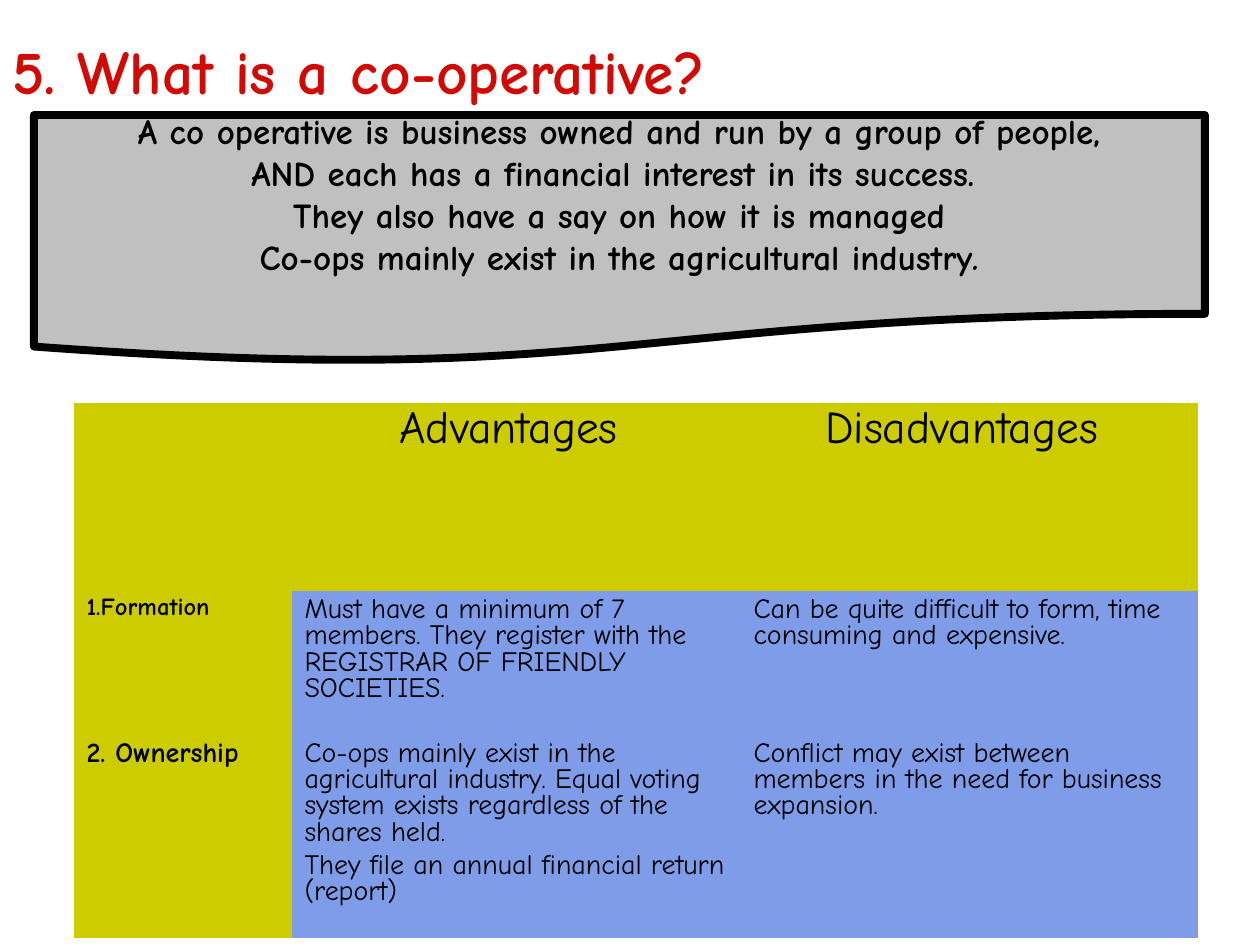
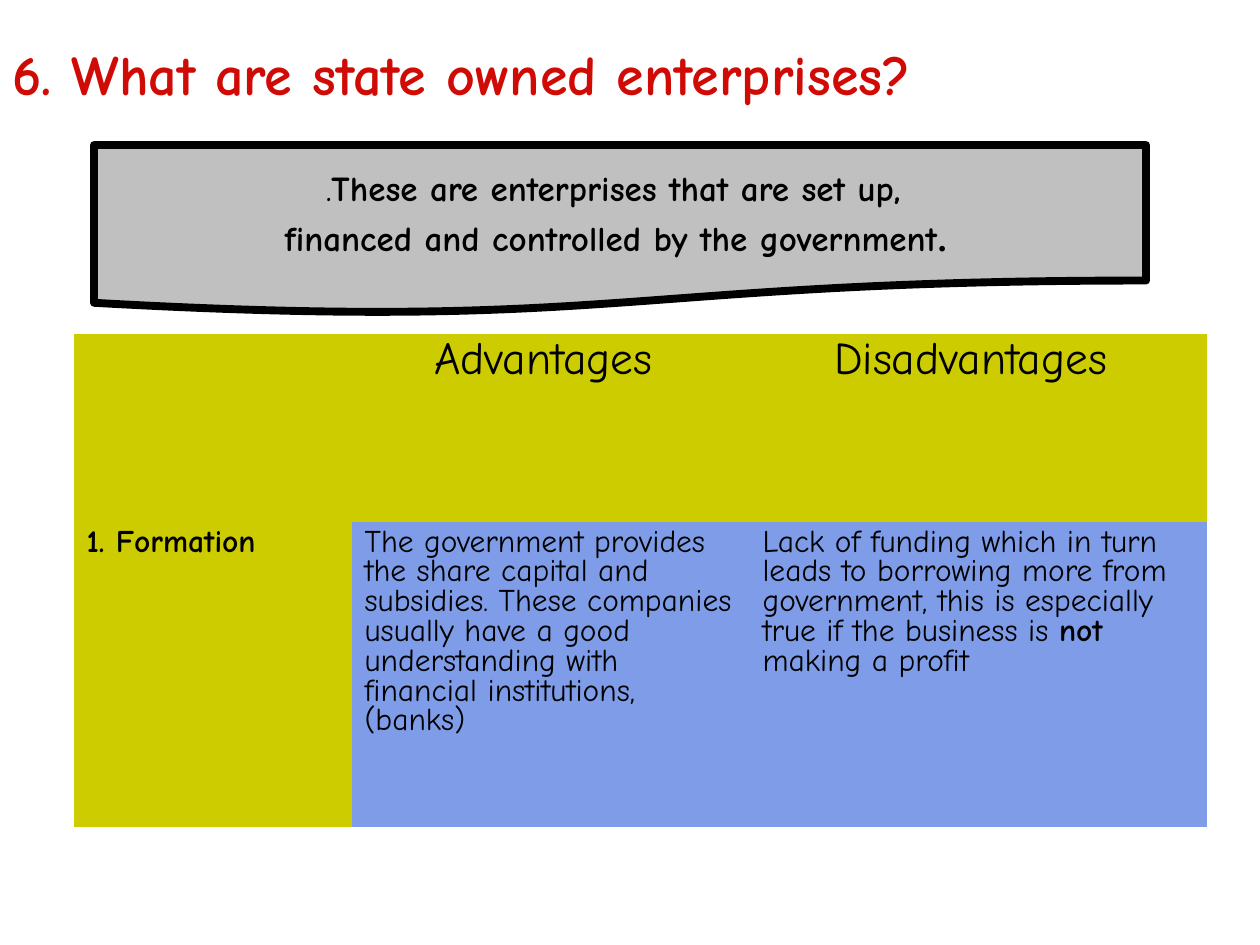
from lxml.etree import QName
from pptx import Presentation
from pptx.dml.color import RGBColor
from pptx.enum.shapes import MSO_SHAPE
from pptx.enum.text import MSO_ANCHOR, PP_ALIGN
from pptx.util import Emu, Pt

# Shared look
PIXELS_PER_INCH = 126
FONT = "Comic Neue"
NO_STYLE_NO_GRID = "{2D5ABB26-0587-4C30-8999-92F81FD0307C}"
TABLE_LEFT = 74
HEADER_HEIGHT = 188
HEADINGS = ("Advantages ", "Disadvantages ")
COLORS = {
    "title": "D00B06",
    "text": "000000",
    "banner": "C0C0C0",
    "label": "CCCC00",
    "body": "7E9CE8",
}


def px(length):
    return Emu(round(length * 914400 / PIXELS_PER_INCH))


def color(name):
    return RGBColor.from_string(COLORS[name])


# Text
def add_span(para, text, size, bold=False, italic=False, font=FONT, tone="text"):
    span = para.add_run()
    span.text = text
    span.font.name = font
    span.font.size = Pt(size)
    span.font.bold = bold
    span.font.italic = italic
    span.font.color.rgb = color(tone)


def add_para(frame, spans, size, bold=False, align=PP_ALIGN.LEFT,
             before=0, spacing=None):
    """Write one paragraph; each span is a text or a (text, changes) pair."""
    first = frame.paragraphs[0]
    para = frame.add_paragraph() if first.runs else first
    para.alignment = align
    para.space_before = Pt(before)
    if spacing:
        para.line_spacing = spacing
    for span in spans:
        text, changes = (span, {}) if isinstance(span, str) else span
        add_span(para, text, **{"size": size, "bold": bold, **changes})


def add_title(page, text, size, top, width, height):
    box = page.shapes.add_textbox(0, px(top), px(width), px(height))
    frame = box.text_frame
    frame.word_wrap = True
    frame.vertical_anchor = MSO_ANCHOR.BOTTOM
    add_para(frame, [text], size, bold=True)
    for span in frame.paragraphs[0].runs:
        span.font.color.rgb = color("title")


# Definition banner with a wavy lower edge
def add_banner(page, left, top, width, height, lines, gap=0, bottom_inset=6):
    banner = page.shapes.add_shape(MSO_SHAPE.FLOWCHART_DOCUMENT,
                                   px(left), px(top), px(width), px(height))
    banner.shadow.inherit = False
    banner.fill.solid()
    banner.fill.fore_color.rgb = color("banner")
    banner.line.color.rgb = color("text")
    banner.line.width = Pt(4.5)
    frame = banner.text_frame
    frame.word_wrap = False
    frame.vertical_anchor = MSO_ANCHOR.MIDDLE
    frame.margin_bottom = px(bottom_inset)
    for index, spans in enumerate(lines):
        add_para(frame, spans, 20, bold=True, align=PP_ALIGN.CENTER,
                 before=gap if index else 0)


# Comparison table
def fill_cell(cell, fill, paragraphs, size, bold=False, align=PP_ALIGN.LEFT):
    cell.fill.solid()
    cell.fill.fore_color.rgb = color(fill)
    for spans in paragraphs:
        add_para(cell.text_frame, spans, size, bold, align,
                 before=size / 4, spacing=0.82)


def add_comparison(page, top, widths, rows):
    """Each row is height, label, label size, body size, two lists of paragraphs."""
    heights = [HEADER_HEIGHT] + [row[0] for row in rows]
    table = page.shapes.add_table(len(heights), len(widths), px(TABLE_LEFT), px(top),
                                  px(sum(widths)), px(sum(heights))).table
    for node in table._tbl.tblPr:
        if QName(node).localname == "tableStyleId":
            node.text = NO_STYLE_NO_GRID
    for column, width in zip(table.columns, widths):
        column.width = px(width)
    for row, height in zip(table.rows, heights):
        row.height = px(height)

    fill_cell(table.cell(0, 0), "label", [], 26)
    for column, heading in enumerate(HEADINGS, 1):
        fill_cell(table.cell(0, column), "label", [[heading]], 26,
                  align=PP_ALIGN.CENTER)
    for index, (_, label, label_size, body_size, *bodies) in enumerate(rows, 1):
        fill_cell(table.cell(index, 0), "label", [[label]], label_size, bold=True)
        for column, paragraphs in enumerate(bodies, 1):
            fill_cell(table.cell(index, column), "body", paragraphs, body_size)


# Slides
def add_cooperative(page):
    add_title(page, "5. What is a co-operative?", 35, 26, 1134, 87)
    add_comparison(page, 403, (218, 449, 457), [
        (144, "1.Formation", 14, 16,
         [["Must have a minimum of 7 members. They register with the "
           "REGISTRAR OF FRIENDLY SOCIETIES."]],
         [["Can be quite difficult to form, time consuming and expensive."]]),
        (203, "2. Ownership", 16, 16,
         [["Co-ops mainly exist in the agricultural industry. Equal voting "
           "system exists regardless of the shares held."],
          ["They file an annual financial return (report)"]],
         [["Conflict may exist between members in the need for business "
           "expansion."]]),
    ])
    add_banner(page, 34, 115, 1171, 248, [
        [" A co operative is business owned and run by a group of people, "],
        ["AND each has a financial interest in its success. "],
        ["They also have a say on how it is managed"],
        ["Co-ops mainly exist in the agricultural industry", (".", {"italic": True})],
    ], bottom_inset=48)


def add_state_enterprises(page):
    add_title(page, "6. What are state owned enterprises?", 32, 33, 1225, 80)
    add_comparison(page, 334, (278, 398, 457), [
        (305, "1. Formation", 18, 18,
         [["The government provides the share capital and subsidies. These "
           "companies usually have a good understanding with financial "
           "institutions, (banks)"]],
         [["Lack of funding which in turn leads to borrowing more from "
           "government, this is especially true if the business is ",
           ("not", {"bold": True}), " making a profit"]]),
    ])
    add_banner(page, 94, 145, 1052, 169, [
        [(".", {"size": 16}), "These are enterprises that are set up, "],
        ["financed and controlled by the government",
         (". ", {"font": "Times New Roman"})],
    ], gap=4.5)


def main():
    deck = Presentation()
    deck.slide_width, deck.slide_height = px(1260), px(945)
    for build in (add_cooperative, add_state_enterprises):
        build(deck.slides.add_slide(deck.slide_layouts[6]))
    deck.save("out.pptx")


if __name__ == "__main__":
    main()
